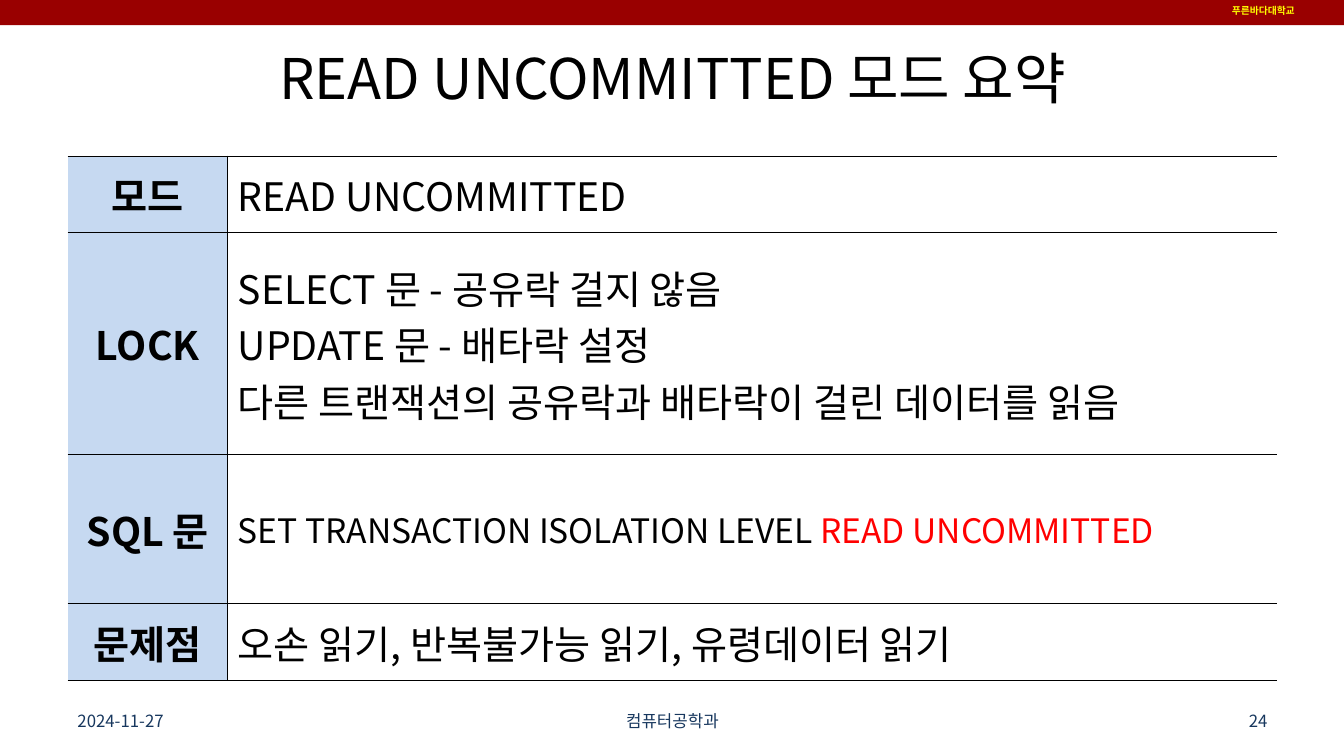
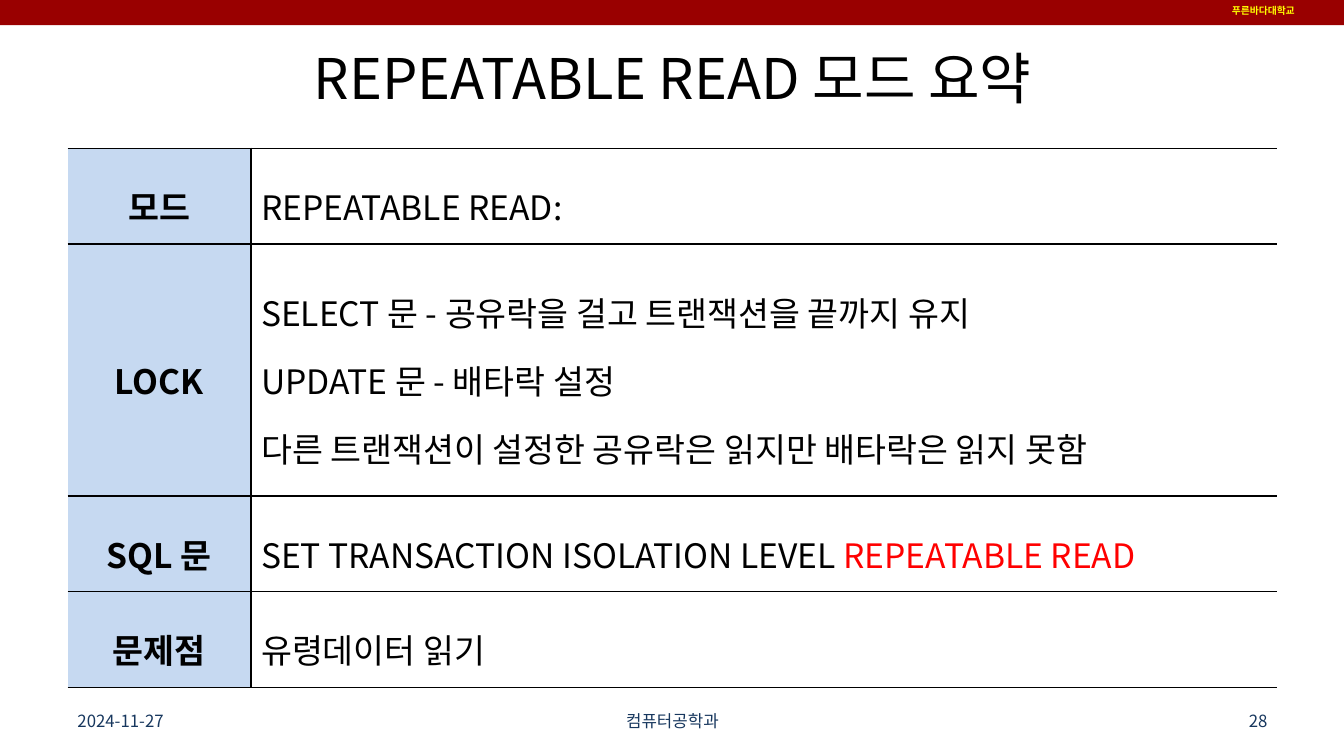
from dataclasses import dataclass

from lxml import etree
from pptx import Presentation
from pptx.dml.color import RGBColor
from pptx.enum.shapes import MSO_SHAPE
from pptx.enum.text import MSO_ANCHOR, PP_ALIGN
from pptx.oxml.ns import qn
from pptx.util import Inches, Pt

RECT = MSO_SHAPE.RECTANGLE
MIDDLE, TOP = MSO_ANCHOR.MIDDLE, MSO_ANCHOR.TOP
LEFT, CENTER, RIGHT = PP_ALIGN.LEFT, PP_ALIGN.CENTER, PP_ALIGN.RIGHT
TITLE_ONLY = 5


@dataclass(frozen=True)
class Theme:
    font: str = "Noto Sans CJK KR"
    black: str = "000000"
    white: str = "FFFFFF"
    band: str = "990000"
    badge: str = "FFFF00"
    foot: str = "17375E"
    head: str = "C6D9F1"
    accent: str = "FF0000"
    title_pt: int = 40
    foot_pt: int = 12
    badge_pt: int = 7
    rule_pt: int = 1


T = Theme()
WIDE, HIGH, EDGE, BODY = 13.33, 7.5, 0.67, 12
SCHOOL, DATE, DEPT = "푸른바다대학교", "2024-11-27", "컴퓨터공학과"

# Slide content: body lines are lists of (text, colour) runs
SLIDES = [
    dict(
        title="READ UNCOMMITTED 모드 요약", page="24", top=1.55, key=1.59,
        rows=[0.76, 2.2, 1.48, 0.76], size=28, sql=24, space=None,
        mode="READ UNCOMMITTED", level="READ UNCOMMITTED",
        lock=["SELECT 문 - 공유락 걸지 않음",
              "UPDATE 문 - 배타락 설정",
              "다른 트랜잭션의 공유락과 배타락이 걸린 데이터를 읽음"],
        issue="오손 읽기, 반복불가능 읽기, 유령데이터 읽기"),
    dict(
        title="REPEATABLE READ 모드 요약", page="28", top=1.47, key=1.82,
        rows=[0.95, 2.5, 0.95, 0.95], size=24, sql=24, space=1.4,
        mode="REPEATABLE READ:", level="REPEATABLE READ",
        lock=["SELECT 문 - 공유락을 걸고 트랜잭션을 끝까지 유지",
              "UPDATE 문 - 배타락 설정",
              "다른 트랜잭션이 설정한 공유락은 읽지만 배타락은 읽지 못함"],
        issue="유령데이터 읽기"),
]


def rgb(code):
    return RGBColor.from_string(code)


def style(run, size, color, bold=False):
    font = run.font
    font.name, font.size, font.bold = T.font, Pt(size), bold
    font.color.rgb = rgb(color)


def label(slide, box, text, size, color, align=LEFT, anchor=MIDDLE,
          bold=False, wrap=True):
    shape = slide.shapes.add_textbox(*map(Inches, box))
    frame = shape.text_frame
    frame.word_wrap, frame.vertical_anchor = wrap, anchor
    frame.text = text
    para = frame.paragraphs[0]
    para.alignment = align
    style(para.runs[0], size, color, bold)
    return shape


def banner(slide, box):
    """Draw the top band and move it to the shared layout."""
    left, top, wide, _ = box
    bar = slide.shapes.add_shape(RECT, *map(Inches, box))
    bar.shadow.inherit = False
    bar.fill.solid()
    bar.fill.fore_color.rgb = rgb(T.band)
    bar.line.fill.background()
    badge = label(slide, (left + wide - 1.21, top, 0.88, 0.22), SCHOOL,
                  T.badge_pt, T.badge, anchor=TOP, bold=True, wrap=False)
    tree = slide.slide_layout.shapes.element
    for part in (bar, badge):
        tree.append(part.element)
    east(tree)


def heading(slide, box, text):
    title = slide.shapes.title
    title.left, title.top, title.width, title.height = map(Inches, box)
    frame = title.text_frame
    frame.text = text
    frame.vertical_anchor = MIDDLE
    para = frame.paragraphs[0]
    para.alignment = CENTER
    style(para.runs[0], T.title_pt, T.black)


def footer(slide, box, page):
    left, top, wide, high = box
    side, mid = 3.11, 4.22
    parts = [(left, side, DATE, LEFT),
             (left + (wide - mid) / 2, mid, DEPT, CENTER),
             (left + wide - side, side, page, RIGHT)]
    for x, width, text, align in parts:
        label(slide, (x, top, width, high), text, T.foot_pt, T.foot, align)


def fill_cell(cell, lines, size, space, key):
    cell.vertical_anchor = MIDDLE
    cell.fill.solid()
    cell.fill.fore_color.rgb = rgb(T.head if key else T.white)
    frame = cell.text_frame
    for i, runs in enumerate(lines):
        para = frame.add_paragraph() if i else frame.paragraphs[0]
        para.alignment = CENTER if key else LEFT
        if space:
            para.line_spacing = space
        for text, color in runs:
            run = para.add_run()
            run.text = text
            style(run, size, color, key)


def borders(props, key):
    """Rule the rows and the inner column edge, leaving the sides open."""
    shown = {"lnL": not key, "lnR": key, "lnT": True, "lnB": True}
    for i, (name, show) in enumerate(shown.items()):
        line = etree.Element(qn(f"a:{name}"),
                             w=str(Pt(T.rule_pt) if show else 0))
        if show:
            paint = etree.SubElement(line, qn("a:solidFill"))
            etree.SubElement(paint, qn("a:srgbClr"), val=T.black)
        else:
            etree.SubElement(line, qn("a:noFill"))
        props.insert(i, line)


def summary(slide, box, data):
    left, top, wide = box
    plain = [(data["size"], [[(text, T.black)] for text in lines])
             for lines in ([data["mode"]], data["lock"], [data["issue"]])]
    sql = (data["sql"], [[("SET TRANSACTION ISOLATION LEVEL ", T.black),
                          (data["level"], T.accent)]])
    bodies = plain[:2] + [sql] + plain[2:]
    heads = ["모드", "LOCK", "SQL 문", "문제점"]

    rows = data["rows"]
    frame = slide.shapes.add_table(
        len(rows), 2, *map(Inches, (left, top, wide, sum(rows))))
    table = frame.table
    table.first_row = table.horz_banding = False
    for col, width in zip(table.columns, (data["key"], wide - data["key"])):
        col.width = Inches(width)
    for i, (head, (size, lines)) in enumerate(zip(heads, bodies)):
        table.rows[i].height = Inches(rows[i])
        fill_cell(table.cell(i, 0), [[(head, T.black)]], data["size"],
                  data["space"], True)
        fill_cell(table.cell(i, 1), lines, size, data["space"], False)
    for i, props in enumerate(frame.element.iter(qn("a:tcPr"))):
        borders(props, i % 2 == 0)


def east(tree):
    """Give Korean text the theme font as well."""
    for latin in list(tree.iter(qn("a:latin"))):
        latin.addnext(etree.Element(qn("a:ea"), typeface=T.font))


def main():
    deck = Presentation()
    deck.slide_width, deck.slide_height = Inches(WIDE), Inches(HIGH)
    layout = deck.slide_layouts[TITLE_ONLY]
    for i, data in enumerate(SLIDES):
        slide = deck.slides.add_slide(layout)
        if i == 0:
            banner(slide, (0, 0, WIDE, 0.25))
        heading(slide, (EDGE, 0.3, BODY, 0.93), data["title"])
        footer(slide, (EDGE, 6.95, BODY, 0.4), data["page"])
        summary(slide, (EDGE, data["top"], BODY), data)
        east(slide.shapes.element)
    deck.save("out.pptx")


if __name__ == "__main__":
    main()
